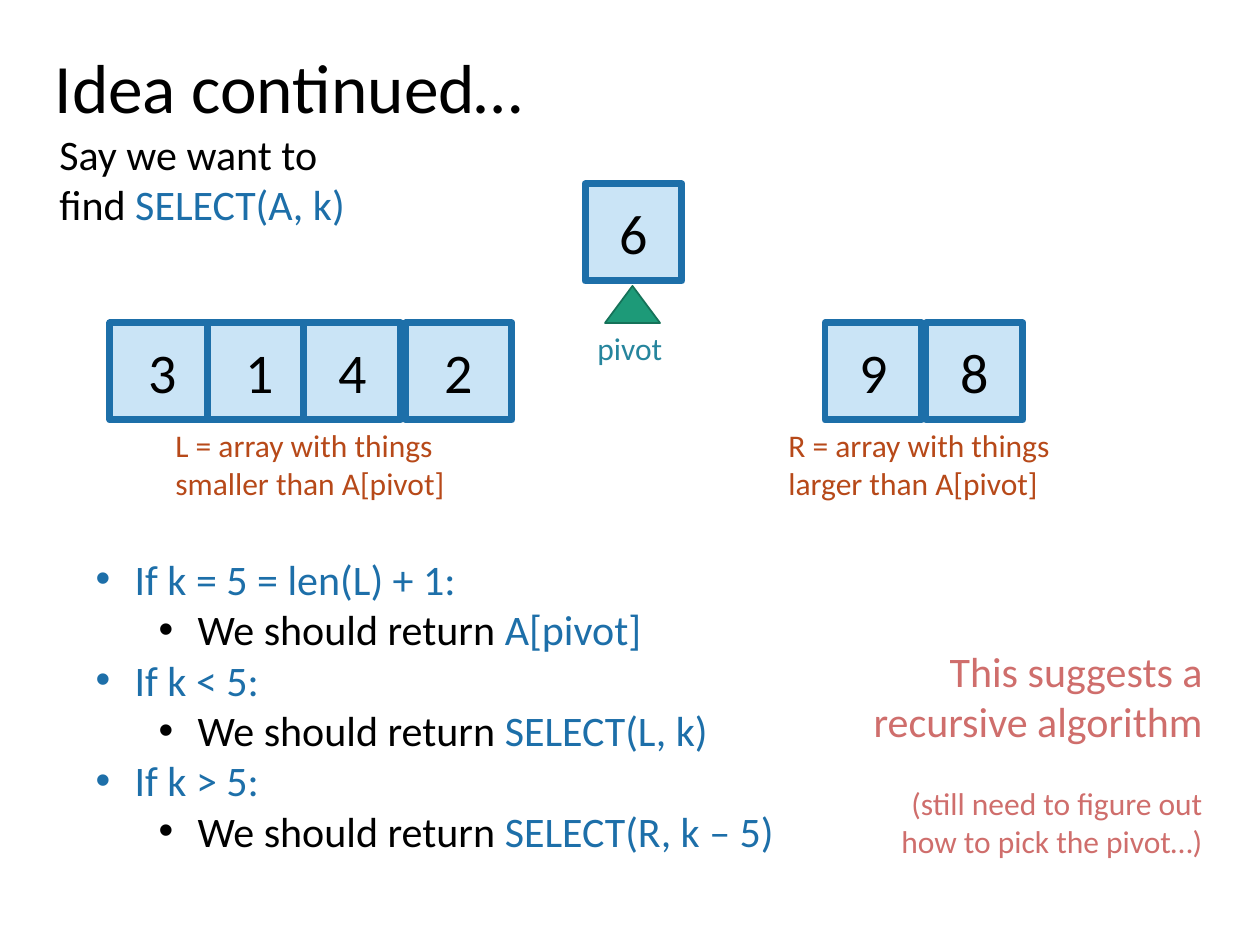
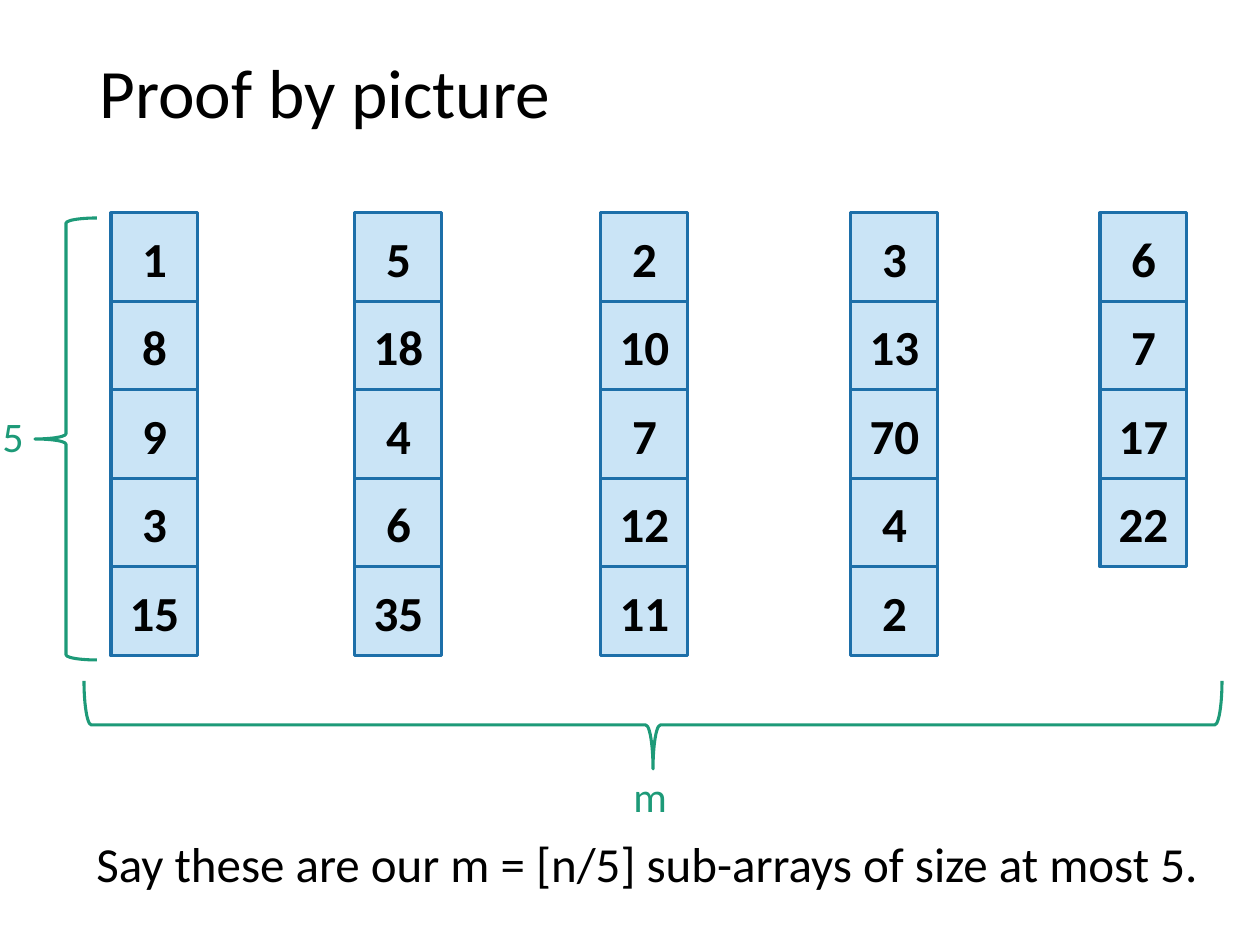
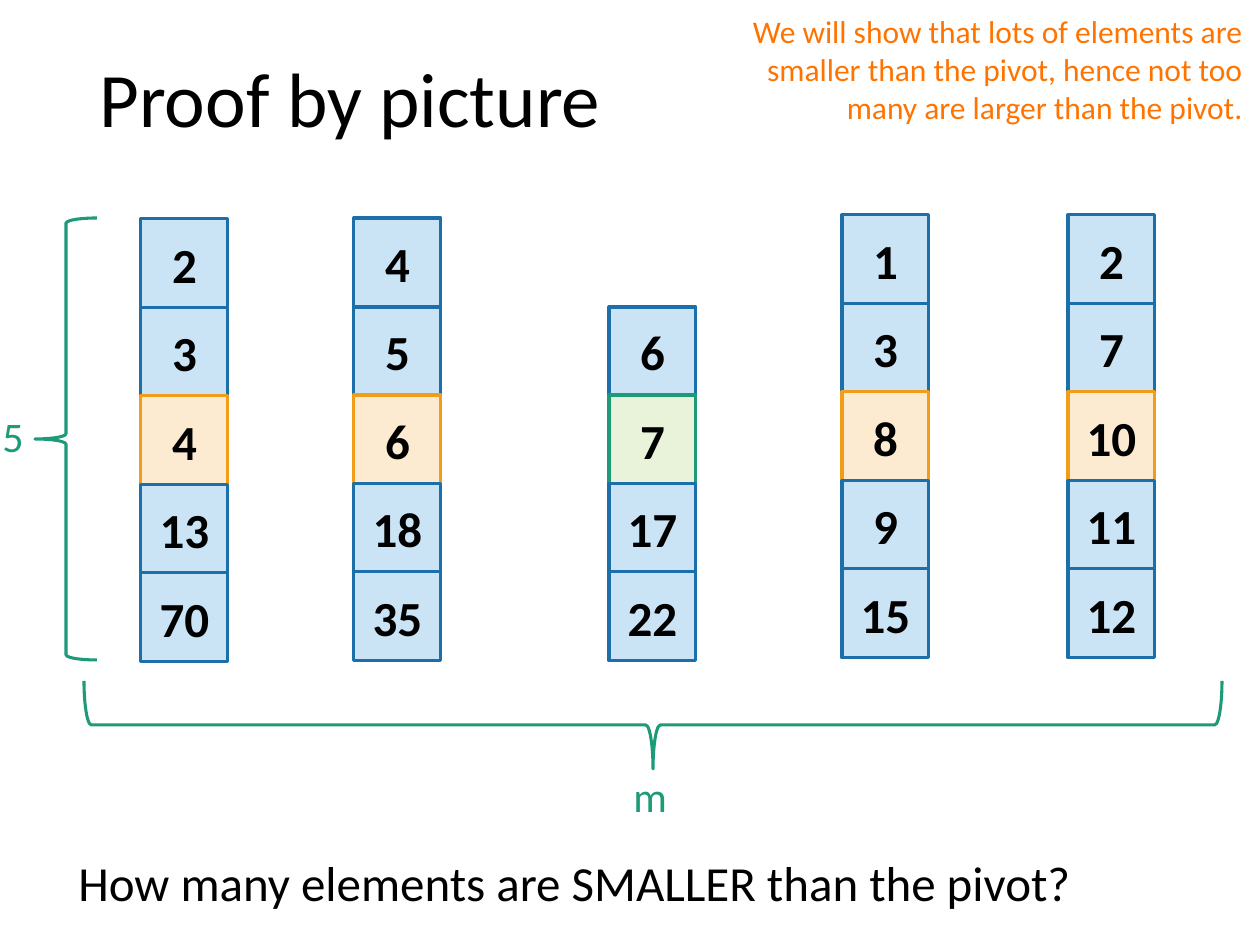
import dataclasses

import lxml.etree
import pptx
import pptx.dml.color
import pptx.enum.shapes
import pptx.enum.text
import pptx.oxml.ns
import pptx.util

SHAPE = pptx.enum.shapes.MSO_SHAPE
ALIGN = pptx.enum.text.PP_ALIGN
ANCHOR = pptx.enum.text.MSO_ANCHOR
EMU_PER_INCH = 914400
PX_PER_INCH = 126


@dataclasses.dataclass(frozen=True)
class Theme:
    font: str = "Calibri"
    ink: str = "000000"
    blue: str = "1D6FA9"
    pale_blue: str = "CAE4F6"
    green: str = "1D9A78"
    dark_green: str = "157259"
    pale_green: str = "E8F3DA"
    amber: str = "F19D19"
    pale_amber: str = "FCEBD1"
    teal: str = "26859D"
    rust: str = "B74919"
    rose: str = "CF6E6C"
    orange: str = "FF7400"
    title: float = 39.6
    large_title: float = 44
    digit: float = 32
    statement: float = 28
    text: float = 24
    caption: float = 18
    thick: float = 4
    medium: float = 1.75
    thin: float = 1


THEME = Theme()
BLUE_CELL = (THEME.pale_blue, THEME.blue)
MEDIAN_CELL = (THEME.pale_amber, THEME.amber)
PIVOT_CELL = (THEME.pale_green, THEME.green)

CELL_SIDE = 97
OVERLAPPING_WIDTH = 106
STACK_ROWS = 5
STACK_HEIGHT = 443
STACK_WIDTH = 87
MEDIAN_ROW = 2
LIST_INDENTS = (39, 102)
LIST_HANGING = 39


def px(length):
    return pptx.util.Emu(round(length * EMU_PER_INCH / PX_PER_INCH))


def rgb(colour):
    return pptx.dml.color.RGBColor.from_string(colour)


def write(paragraph, runs, size, bold=False):
    for text, colour in runs:
        run = paragraph.add_run()
        run.text = text
        run.font.name = THEME.font
        run.font.size = pptx.util.Pt(size)
        run.font.bold = bold
        run.font.color.rgb = rgb(colour)


def place(shape, box):
    shape.left, shape.top, shape.width, shape.height = map(px, box)


def add_slide(deck, layout_index, title, box, size=THEME.title):
    slide = deck.slides.add_slide(deck.slide_layouts[layout_index])
    heading = slide.shapes.title
    place(heading, box)
    frame = heading.text_frame
    frame.auto_size = pptx.enum.text.MSO_AUTO_SIZE.NONE
    frame.vertical_anchor = ANCHOR.MIDDLE
    paragraph = frame.paragraphs[0]
    paragraph.alignment = ALIGN.LEFT
    paragraph.line_spacing = 0.9
    write(paragraph, [(title, THEME.ink)], size)
    return slide


def add_text(slide, box, runs, size, align=ALIGN.LEFT):
    frame = slide.shapes.add_textbox(*map(px, box)).text_frame
    frame.word_wrap = True
    paragraph = frame.paragraphs[0]
    paragraph.alignment = align
    write(paragraph, runs, size)
    return frame


def add_outlined(shapes, preset, box, line, weight, fill=None):
    shape = shapes.add_shape(preset, *map(px, box))
    shape.shadow.inherit = False
    if fill:
        shape.fill.solid()
        shape.fill.fore_color.rgb = rgb(fill)
    else:
        shape.fill.background()
    shape.line.color.rgb = rgb(line)
    shape.line.width = pptx.util.Pt(weight)
    return shape


def add_cell(shapes, box, number, colours, weight, size, bold=False):
    fill, line = colours
    frame = add_outlined(shapes, SHAPE.RECTANGLE, box, line, weight, fill).text_frame
    frame.vertical_anchor = ANCHOR.MIDDLE
    paragraph = frame.paragraphs[0]
    paragraph.alignment = ALIGN.CENTER
    write(paragraph, [(str(number), THEME.ink)], size, bold)


def add_array_cell(slide, left, top, width, number):
    add_cell(slide.shapes, (left, top, width, CELL_SIDE), number,
             BLUE_CELL, THEME.thick, THEME.digit)


def add_stack(slide, left, top, numbers, first_row=0, median=BLUE_CELL):
    stack = slide.shapes.add_group_shape().shapes
    edges = [top + round(row * STACK_HEIGHT / STACK_ROWS) for row in range(STACK_ROWS + 1)]
    for row, number in enumerate(numbers, first_row):
        box = (left, edges[row], STACK_WIDTH, edges[row + 1] - edges[row])
        colours = median if row == MEDIAN_ROW else BLUE_CELL
        add_cell(stack, box, number, colours, THEME.medium, THEME.statement, bold=True)


def add_dimensions(slide):
    across = add_outlined(slide.shapes, SHAPE.RIGHT_BRACE, (609, 156, 88, 1138),
                          THEME.green, THEME.medium)
    across.rotation = 90
    add_outlined(slide.shapes, SHAPE.LEFT_BRACE, (35, 218, 62, 442),
                 THEME.green, THEME.medium)
    for left, top, label in ((-10, 404, "5"), (621, 764, "m")):
        add_text(slide, (left, top, 96, 63), [(label, THEME.green)], THEME.text)


def add_bullet(paragraph, level):
    paragraph.level = level
    paragraph.space_before = pptx.util.Pt(0)
    properties = paragraph._p.get_or_add_pPr()
    properties.set("marL", str(px(LIST_INDENTS[level])))
    properties.set("indent", str(-px(LIST_HANGING)))
    for tag, key, value in (("a:buFont", "typeface", "Arial"), ("a:buChar", "char", "•")):
        element = lxml.etree.SubElement(properties, pptx.oxml.ns.qn(tag))
        element.set(key, value)


def fill_list(body, box, items):
    place(body, box)
    frame = body.text_frame
    frame.auto_size = pptx.enum.text.MSO_AUTO_SIZE.NONE
    for index, (level, runs) in enumerate(items):
        paragraph = frame.add_paragraph() if index else frame.paragraphs[0]
        add_bullet(paragraph, level)
        write(paragraph, runs, THEME.text)


def build_idea(deck):
    slide = add_slide(deck, 1, "Idea continued…", (42, 50, 1086, 83))
    for left, width, number in (
        (825, CELL_SIDE, 9), (926, CELL_SIDE, 8),
        (110, OVERLAPPING_WIDTH, 3), (207, OVERLAPPING_WIDTH, 1),
        (304, CELL_SIDE, 4), (406, OVERLAPPING_WIDTH, 2),
    ):
        add_array_cell(slide, left, 323, width, number)
    add_array_cell(slide, 585, 184, CELL_SIDE, 6)
    add_outlined(slide.shapes, SHAPE.ISOSCELES_TRIANGLE, (605, 286, 55, 37),
                 THEME.dark_green, THEME.thin, THEME.green)
    add_text(slide, (585, 323, 126, 50), [("pivot", THEME.teal)], THEME.caption)
    for left, caption in (
        (163, "L = array with things smaller than A[pivot]"),
        (776, "R = array with things larger than A[pivot]"),
    ):
        add_text(slide, (left, 420, 367, 89), [(caption, THEME.rust)], THEME.caption)
    add_text(slide, (47, 122, 333, 115),
             [("Say we want to find ", THEME.ink), ("SELECT(A, k)", THEME.blue)], THEME.text)

    cases = []
    for condition, answer in (
        ("If k = 5 = len(L) + 1:", "A[pivot]"),
        ("If k < 5:", "SELECT(L, k)"),
        ("If k > 5:", "SELECT(R, k – 5)"),
    ):
        cases.append((0, [(condition, THEME.blue)]))
        cases.append((1, [("We should return ", THEME.ink), (answer, THEME.blue)]))
    fill_list(slide.placeholders[1], (83, 547, 929, 318), cases)

    remark = add_text(slide, (843, 639, 372, 229),
                      [("This suggests a recursive algorithm", THEME.rose)],
                      THEME.text, ALIGN.RIGHT)
    caveat = remark.add_paragraph()
    caveat.alignment = ALIGN.RIGHT
    caveat.space_before = pptx.util.Pt(22)
    write(caveat, [("(still need to figure out how to pick the pivot…)", THEME.rose)],
          THEME.caption)


def build_subarrays(deck):
    slide = add_slide(deck, 5, "Proof by picture", (87, 50, 1086, 93))
    for left, numbers in (
        (111, (1, 8, 9, 3, 15)),
        (355, (5, 18, 4, 6, 35)),
        (601, (2, 10, 7, 12, 11)),
        (851, (3, 13, 70, 4, 2)),
        (1100, (6, 7, 17, 22)),
    ):
        add_stack(slide, left, 213, numbers)
    add_text(slide, (84, 827, 1137, 72),
             [("Say these are our m = [n/5] sub-arrays of size at most 5.", THEME.ink)],
             THEME.statement)
    add_dimensions(slide)


def build_medians(deck):
    slide = add_slide(deck, 5, "Proof by picture", (87, 50, 1086, 106), THEME.large_title)
    for left, top, numbers in (
        (842, 215, (1, 3, 8, 9, 15)),
        (354, 218, (4, 5, 6, 18, 35)),
        (1068, 215, (2, 7, 10, 11, 12)),
        (141, 219, (2, 3, 4, 13, 70)),
    ):
        add_stack(slide, left, top, numbers, median=MEDIAN_CELL)
    add_stack(slide, 609, 218, (6, 7, 17, 22), first_row=1, median=PIVOT_CELL)
    add_dimensions(slide)
    add_text(slide, (66, 846, 1091, 72),
             [("How many elements are SMALLER than the pivot?", THEME.ink)], THEME.statement)
    add_text(slide, (696, 6, 559, 127),
             [("We will show that lots of elements are smaller than the pivot, "
               "hence not too many are larger than the pivot.", THEME.orange)],
             THEME.caption, ALIGN.RIGHT)


def main():
    deck = pptx.Presentation()
    deck.slide_width = px(1260)
    deck.slide_height = px(945)
    build_idea(deck)
    build_subarrays(deck)
    build_medians(deck)
    deck.save("out.pptx")


if __name__ == "__main__":
    main()
